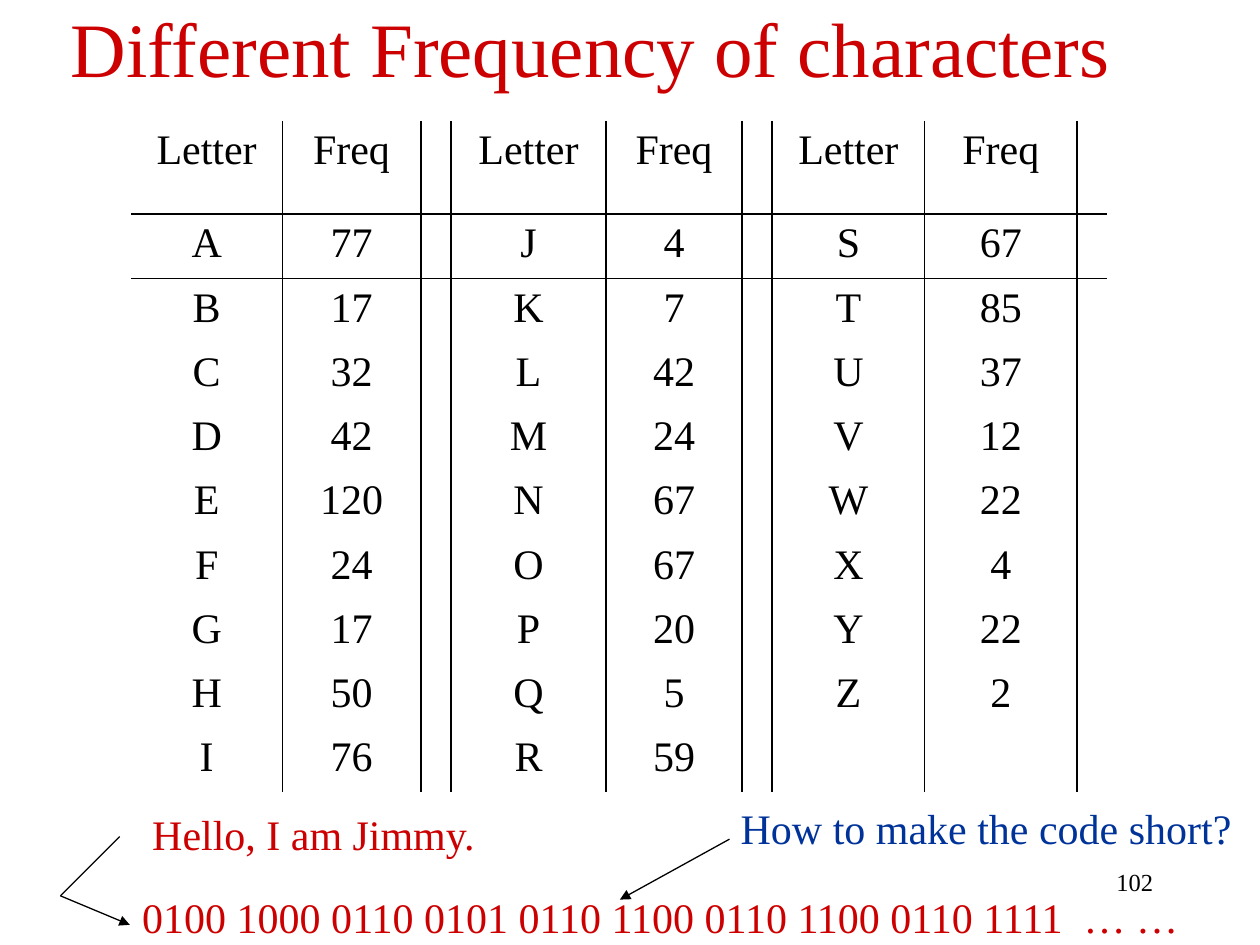
"""Build a slide with a letter frequency table and a sample binary code."""
from lxml.etree import SubElement
from pptx import Presentation
from pptx.dml.color import RGBColor
from pptx.enum.shapes import MSO_CONNECTOR as Connector
from pptx.enum.text import MSO_ANCHOR as Anchor, PP_ALIGN as Align
from pptx.oxml import parse_xml
from pptx.oxml.ns import nsdecls, qn
from pptx.util import Inches, Pt

RED = RGBColor(0xCC, 0x00, 0x00)
BLUE = RGBColor(0x00, 0x33, 0x99)
BLACK = RGBColor(0x00, 0x00, 0x00)
FONT = "Times New Roman"
NO_GRID_STYLE = "{2D5ABB26-0587-4C30-8999-92F81FD0307C}"
FREQUENCIES = [
    77, 17, 32, 42, 120, 24, 17, 50, 76,
    4, 7, 42, 24, 67, 67, 20, 5, 59,
    67, 85, 37, 12, 22, 4, 22, 2,
]
LETTERS = "ABCDEFGHIJKLMNOPQRSTUVWXYZ"
LETTERS_PER_GROUP = 9
COLUMN_WIDTHS = [1.2, 1.1, 0.23, 1.23, 1.08, 0.23, 1.21, 1.21, 0.23]
ROW_HEIGHTS = [0.74] + [0.51] * LETTERS_PER_GROUP


def write(frame, text, size, color, align):
    para = frame.paragraphs[0]
    para.text = text
    para.alignment = align
    para.font.name = FONT
    para.font.size = Pt(size)
    para.font.color.rgb = color


deck = Presentation()
deck.slide_width = Inches(10)
deck.slide_height = Inches(7.5)
page = deck.slides.add_slide(deck.slide_layouts[6])

table_frame = page.shapes.add_table(
    len(ROW_HEIGHTS), len(COLUMN_WIDTHS), Inches(1.04), Inches(0.96),
    Inches(sum(COLUMN_WIDTHS)), Inches(sum(ROW_HEIGHTS)))
table = table_frame.table
table.first_row = False
table.horz_banding = False
table_frame._element.find(".//" + qn("a:tableStyleId")).text = NO_GRID_STYLE
for column, width in zip(table.columns, COLUMN_WIDTHS):
    column.width = Inches(width)
for row, height in zip(table.rows, ROW_HEIGHTS):
    row.height = Inches(height)

entries = {}
for group in range(3):
    entries[0, group * 3] = "Letter"
    entries[0, group * 3 + 1] = "Freq"
for index, (letter, frequency) in enumerate(zip(LETTERS, FREQUENCIES)):
    group, position = divmod(index, LETTERS_PER_GROUP)
    entries[position + 1, group * 3] = letter
    entries[position + 1, group * 3 + 1] = str(frequency)

last_column = len(COLUMN_WIDTHS) - 1
for row_index in range(len(ROW_HEIGHTS)):
    for column_index in range(len(COLUMN_WIDTHS)):
        cell = table.cell(row_index, column_index)
        if (row_index, column_index) in entries:
            write(cell.text_frame, entries[row_index, column_index], 24, BLACK, Align.CENTER)
        sides = {
            "lnL": column_index > 0,
            "lnR": column_index < last_column,
            "lnT": row_index == 1,
            "lnB": row_index == 0,
        }
        properties = cell._tc.get_or_add_tcPr()
        for side in [name for name, drawn in sides.items() if drawn]:
            properties.append(parse_xml(
                f'<a:{side} {nsdecls("a")} w="{Pt(1)}"><a:solidFill>'
                f'<a:srgbClr val="{BLACK}"/></a:solidFill></a:{side}>'))
        cell.fill.background()

texts = [
    ("Different Frequency of characters", 0.2, 0.05, 8.98, 0.64, 44, RED, Align.CENTER, Anchor.MIDDLE, True),
    ("Hello, I am Jimmy.", 1.11, 6.37, 2.78, 0.5, 24, RED, Align.LEFT, Anchor.TOP, False),
    ("0100 1000 0110 0101 0110 1100 0110 1100 0110 1111  … …",
     1.03, 7.03, 8.62, 0.5, 24, RED, Align.LEFT, Anchor.TOP, False),
    ("How to make the code short?", 5.78, 6.32, 4.1, 0.5, 24, BLUE, Align.LEFT, Anchor.TOP, False),
    ("102", 7.17, 6.83, 2.08, 0.5, 14, BLACK, Align.RIGHT, Anchor.TOP, True),
]
for text, left, top, width, height, size, color, align, anchor, wrap in texts:
    box = page.shapes.add_textbox(Inches(left), Inches(top), Inches(width), Inches(height))
    box.text_frame.word_wrap = wrap
    box.text_frame.vertical_anchor = anchor
    write(box.text_frame, text, size, color, align)

lines = [
    (0.95, 6.64, 0.48, 7.11, False),
    (0.48, 7.11, 1.03, 7.34, True),
    (5.79, 6.66, 4.92, 7.14, True),
]
for *ends, has_arrowhead in lines:
    line = page.shapes.add_connector(Connector.STRAIGHT, *[Inches(end) for end in ends])
    line.line.color.rgb = BLACK
    line.line.width = Pt(0.75)
    if has_arrowhead:
        SubElement(line.line._get_or_add_ln(), qn("a:tailEnd"), type="triangle")
    SubElement(line._element.spPr, qn("a:effectLst"))

deck.save("out.pptx")
